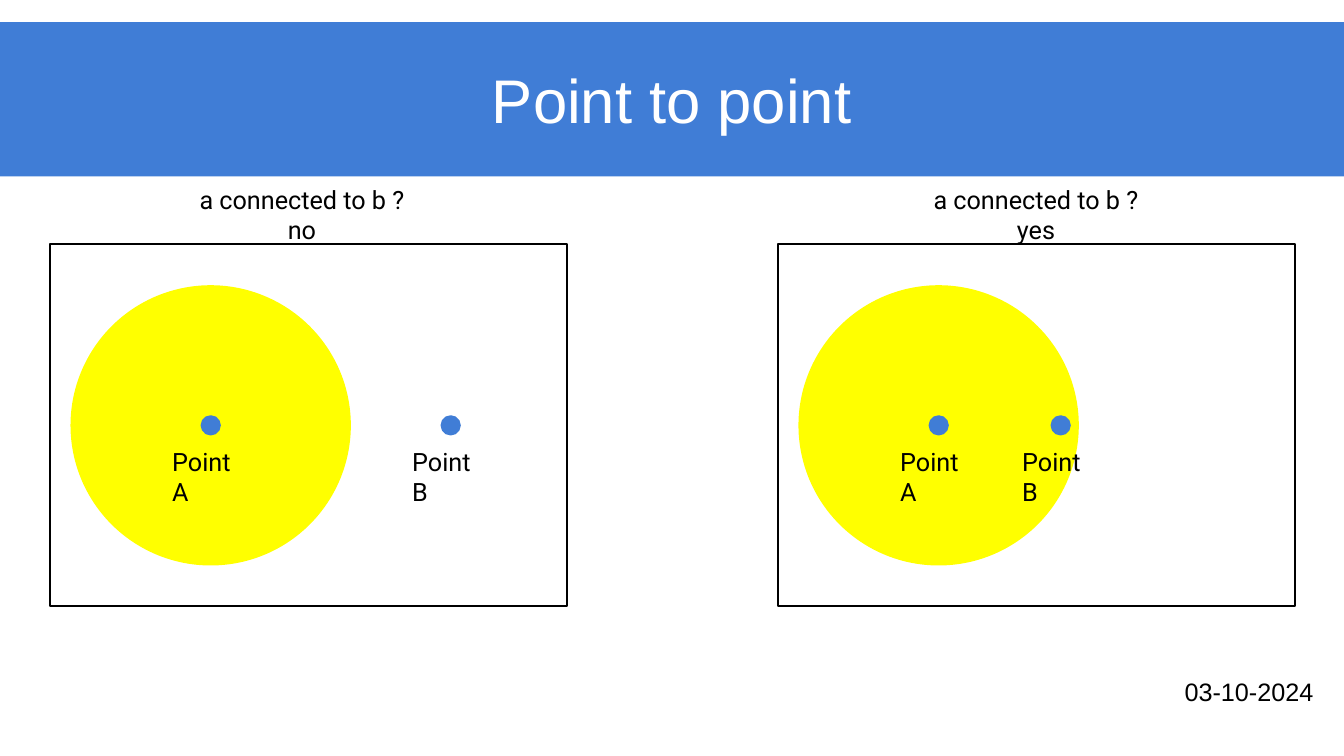
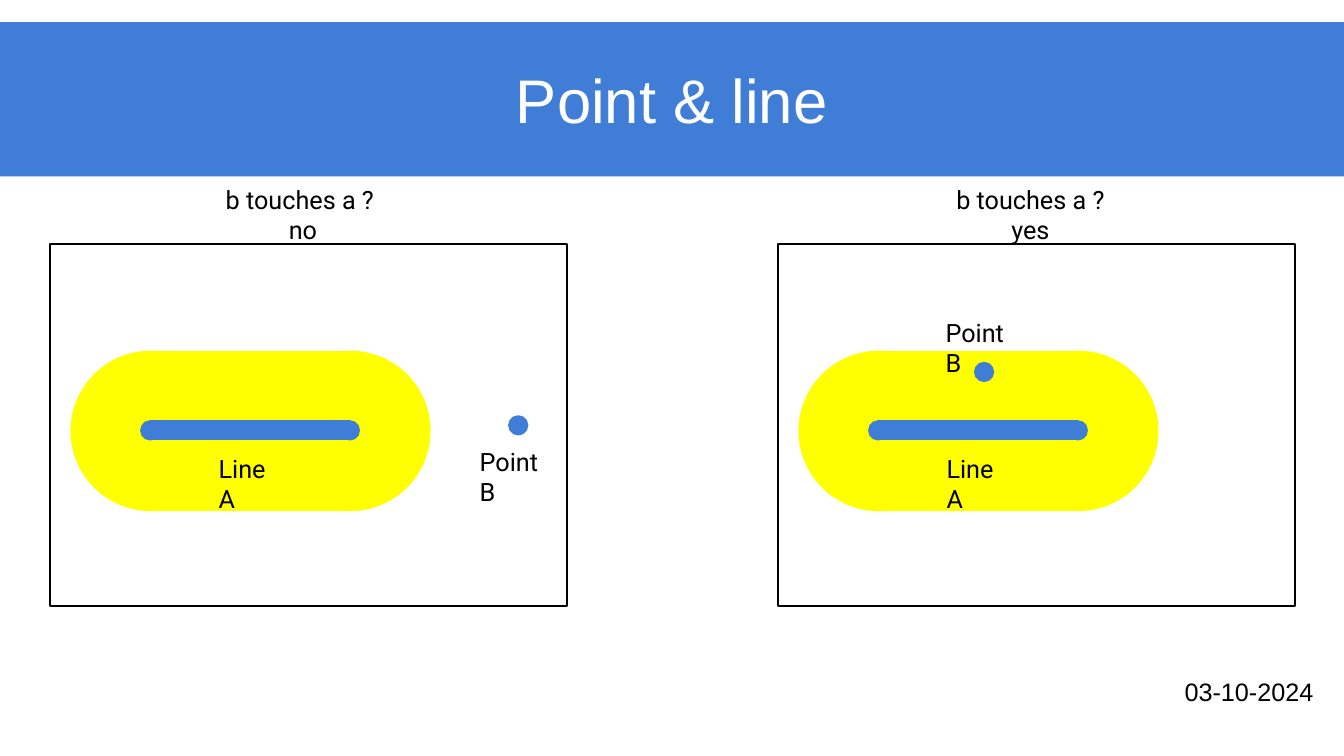
from pptx import Presentation
from pptx.dml.color import RGBColor
from pptx.enum.shapes import MSO_SHAPE as Preset
from pptx.enum.text import MSO_ANCHOR as Anchor, MSO_AUTO_SIZE as AutoSize, PP_ALIGN as Align
from pptx.util import Inches, Pt

# Shared style and measures, in inches
BLUE, YELLOW, BLACK, WHITE = "407DD6", "FFFF00", "000000", "FFFFFF"
TITLE_FONT, LABEL_FONT = "Arial", "Roboto"
PANEL_LEFTS = (0.5, 7.72)
PANEL_TOP, PANEL_WIDTH, PANEL_HEIGHT = 2.42, 5.12, 3.59
DOT = 0.18
DOT_TOP = 4.13
LABEL_SHIFT = 0.39  # a label starts this far left of its dot


def draw(slide, preset, box, fill=None, line=None):
    shape = slide.shapes.add_shape(preset, *map(Inches, box))
    shape.shadow.inherit = False
    for part, colour in ((shape.fill, fill), (shape.line.fill, line)):
        if colour:
            part.solid()
            part.fore_color.rgb = RGBColor.from_string(colour)
        else:
            part.background()
    if line:
        shape.line.width = Pt(1.5)
    return shape


def write(shape, text, font=LABEL_FONT, size=18, colour=BLACK, align=Align.LEFT,
          anchor=Anchor.TOP, grow=True):
    frame = shape.text_frame
    frame.word_wrap = True
    frame.auto_size = AutoSize.SHAPE_TO_FIT_TEXT if grow else AutoSize.NONE
    frame.vertical_anchor = anchor
    frame.text = text
    for paragraph in frame.paragraphs:
        paragraph.alignment = align
        paragraph.font.name = font
        paragraph.font.size = Pt(size)
        paragraph.font.color.rgb = RGBColor.from_string(colour)


prs = Presentation()
prs.slide_width, prs.slide_height = Inches(13.33), Inches(7.5)

# Per panel: answer, heading left and width, point B left and top, label B top.
# Lefts are measured from the panel's left edge.
topics = [
    ("Point to point", "a connected to b ? ", "Point A", [
        ("no", 1.37, 2.25, 3.88, DOT_TOP, 4.38),
        ("yes", 1.43, 2.25, 2.71, DOT_TOP, 4.38),
    ]),
    ("Point & line", "b touches a ? ", "Line A", [
        ("no", 1.63, 1.75, 4.55, DOT_TOP, 4.38),
        ("yes", 1.65, 1.7, 1.95, 3.6, 3.1),
    ]),
]

for title, question, name_a, panels in topics:
    slide = prs.slides.add_slide(prs.slide_layouts[6])

    # Title band and date
    band = draw(slide, Preset.RECTANGLE, (0, 0.22, 13.33, 1.53), fill=BLUE)
    write(band, title, font=TITLE_FONT, size=44, colour=WHITE, align=Align.CENTER,
          anchor=Anchor.MIDDLE, grow=False)
    date = slide.shapes.add_textbox(*map(Inches, (11.65, 6.66, 1.49, 0.4)))
    write(date, "03-10-2024", font=TITLE_FONT)

    for left, panel in zip(PANEL_LEFTS, panels):
        answer, heading_left, heading_width, b_left, b_top, label_top = panel

        # Yellow reach and blue feature A: a disc, or two discs joined by a bar
        if name_a == "Point A":
            features = [(YELLOW, 2.76, 2.84, (0.21,)), (BLUE, DOT, DOT_TOP, (1.5,))]
            label_a = (left + 1.5 - LABEL_SHIFT, 4.38, 0.96, 0.4)
        else:
            features = [(YELLOW, 1.57, 3.49, (0.21, 2.19)), (BLUE, DOT, 4.18, (0.9, 2.88))]
            label_a = (left + 1.57, 4.45, 0.86, 0.4)
        for colour, size, top, disc_lefts in features:
            for disc_left in disc_lefts:
                draw(slide, Preset.OVAL, (left + disc_left, top, size, size), colour, colour)
            if len(disc_lefts) == 2:
                start, end = disc_lefts
                bar = (left + start + size / 2, top, end - start, size)
                draw(slide, Preset.RECTANGLE, bar, colour, colour)

        # Panel frame and point B
        draw(slide, Preset.RECTANGLE, (left, PANEL_TOP, PANEL_WIDTH, PANEL_HEIGHT), line=BLACK)
        draw(slide, Preset.OVAL, (left + b_left, b_top, DOT, DOT), BLUE, BLUE)

        # Labels and heading
        label_b = (left + b_left - LABEL_SHIFT, label_top, 0.96, 0.4)
        heading = (left + heading_left, 1.78, heading_width, 0.71)
        for text, box, align in (
            (name_a, label_a, Align.LEFT),
            ("Point B", label_b, Align.LEFT),
            (f"{question}\n{answer}", heading, Align.CENTER),
        ):
            write(slide.shapes.add_textbox(*map(Inches, box)), text, align=align)

prs.save("out.pptx")
